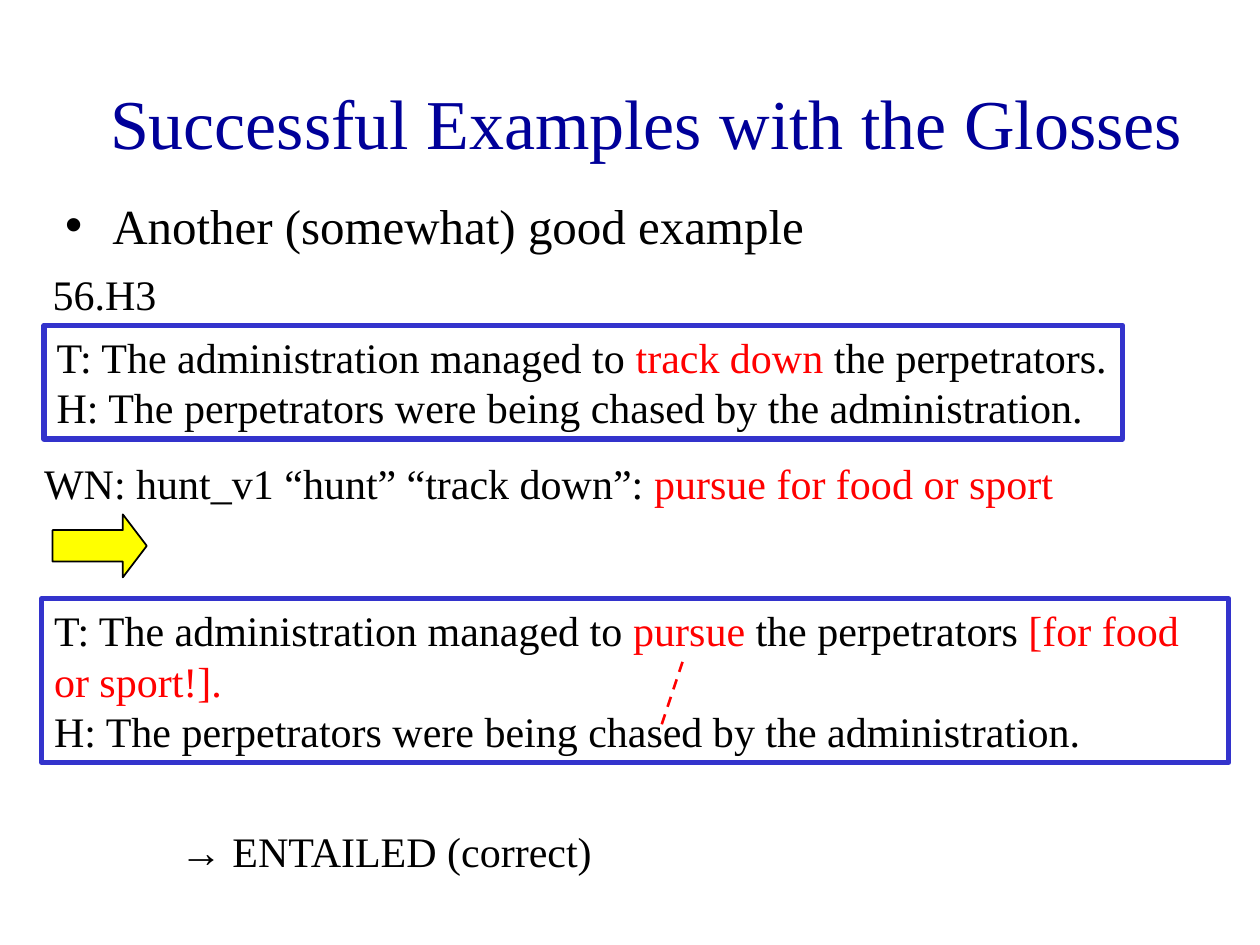
from lxml import etree
from pptx import Presentation
from pptx.dml.color import RGBColor
from pptx.enum.dml import MSO_LINE
from pptx.enum.shapes import MSO_CONNECTOR, MSO_SHAPE
from pptx.enum.text import MSO_ANCHOR, MSO_AUTO_SIZE, PP_ALIGN
from pptx.oxml.ns import qn
from pptx.util import Cm, Pt

RECTANGLE = MSO_SHAPE.RECTANGLE
RIGHT_ARROW = MSO_SHAPE.RIGHT_ARROW
STRAIGHT = MSO_CONNECTOR.STRAIGHT
DASH = MSO_LINE.DASH
TOP, MIDDLE = MSO_ANCHOR.TOP, MSO_ANCHOR.MIDDLE
LEFT, CENTER = PP_ALIGN.LEFT, PP_ALIGN.CENTER
NO_AUTOFIT = MSO_AUTO_SIZE.NONE

BLACK, RED, YELLOW = "000000", "FF0000", "FFFF00"
NAVY, BLUE = "000099", "3333CC"


def color(hex_string):
    return RGBColor.from_string(hex_string)


class SlideBuilder:
    font_name = "Times New Roman"
    text_size = 24
    line_factor = 1.2

    def __init__(self, slide):
        self.slide = slide

    def place(self, shape, left, top, width, height):
        shape.left, shape.top = Cm(left), Cm(top)
        shape.width, shape.height = Cm(width), Cm(height)

    def set_font(self, paragraph, size, hex_string=None):
        paragraph.font.name = self.font_name
        paragraph.font.size = Pt(size)
        if hex_string:
            paragraph.font.color.rgb = color(hex_string)

    def fill_text(self, frame, lines, wrap):
        """Fill the frame with lines, each a list of (text, colour) runs."""
        frame.word_wrap = wrap
        frame.vertical_anchor = TOP
        for index, line in enumerate(lines):
            paragraph = frame.add_paragraph() if index else frame.paragraphs[0]
            paragraph.alignment = LEFT
            paragraph.line_spacing = Pt(self.text_size * self.line_factor)
            self.set_font(paragraph, self.text_size)
            for text, hex_string in line:
                run = paragraph.add_run()
                run.text = text
                run.font.color.rgb = color(hex_string)

    def placeholder(self, shape, text, box, size, hex_string, anchor, alignment):
        self.place(shape, *box)
        frame = shape.text_frame
        frame.text = text
        frame.auto_size = NO_AUTOFIT
        frame.vertical_anchor = anchor
        paragraph = frame.paragraphs[0]
        paragraph.alignment = alignment
        paragraph.space_before = Pt(0)
        self.set_font(paragraph, size, hex_string)
        return paragraph

    def title(self, text, box):
        self.placeholder(self.slide.shapes.title, text, box, 40, NAVY, MIDDLE, CENTER)

    def bullet(self, text, box):
        body = self.slide.placeholders[1]
        paragraph = self.placeholder(body, text, box, 28, BLACK, TOP, LEFT)
        paragraph.line_spacing = Pt(28 * self.line_factor)
        properties = paragraph._p.get_or_add_pPr()
        properties.set("marL", str(Cm(0.95)))
        properties.set("indent", str(-Cm(0.95)))

    def label(self, box, *runs):
        text_box = self.slide.shapes.add_textbox(0, 0, 0, 0)
        self.place(text_box, *box)
        self.fill_text(text_box.text_frame, [runs], wrap=False)

    def shape(self, kind, box, line_color, line_width):
        shape = self.slide.shapes.add_shape(kind, 0, 0, 0, 0)
        self.place(shape, *box)
        shape.shadow.inherit = False
        shape.fill.background()
        shape.line.color.rgb = color(line_color)
        shape.line.width = Pt(line_width)
        return shape

    def framed_text(self, box, lines, wrap):
        frame = self.shape(RECTANGLE, box, BLUE, 3)
        self.fill_text(frame.text_frame, lines, wrap)

    def arrow(self, box):
        arrow = self.shape(RIGHT_ARROW, box, BLACK, 1)
        arrow.fill.solid()
        arrow.fill.fore_color.rgb = color(YELLOW)
        arrow.adjustments[0] = 0.5
        arrow.adjustments[1] = 0.38

    def dashed_line(self, *ends):
        line = self.slide.shapes.add_connector(STRAIGHT, *map(Cm, ends))
        line.line.color.rgb = color(RED)
        line.line.width = Pt(1.5)
        line.line.dash_style = DASH
        etree.SubElement(line._element.spPr, qn("a:effectLst"))


def main():
    presentation = Presentation()
    presentation.slide_width, presentation.slide_height = Cm(25.4), Cm(19.05)
    slide = presentation.slides.add_slide(presentation.slide_layouts[1])
    builder = SlideBuilder(slide)

    text_start = ("T: The administration managed to ", BLACK)
    hypothesis = [("H: The perpetrators were being chased by the administration.", BLACK)]

    builder.title("Successful Examples with the Glosses", (1.7, 0.85, 22.65, 3.18))
    builder.bullet("Another (somewhat) good example", (1.06, 3.81, 21.59, 11.43))

    builder.label((0.81, 5.28, 2.6, 1.27), ("56.H3", BLACK))
    original_text = [text_start, ("track down", RED), (" the perpetrators.", BLACK)]
    builder.framed_text((0.89, 6.56, 21.74, 2.29), [original_text, hypothesis], wrap=False)

    builder.label(
        (0.64, 9.1, 20.85, 1.27),
        ("WN: hunt_v1 “hunt” “track down”: ", BLACK),
        ("pursue for food or sport", RED),
    )
    builder.arrow((1.06, 10.37, 1.9, 1.27))

    expanded_text = [
        text_start,
        ("pursue", RED),
        (" the perpetrators", BLACK),
        (" [for food or sport!].", RED),
    ]
    builder.framed_text((0.84, 12.07, 23.93, 3.3), [expanded_text, hypothesis], wrap=True)
    builder.dashed_line(13.34, 14.6, 13.76, 13.34)

    builder.label((3.38, 16.51, 8.86, 1.27), ("→ ENTAILED (correct)", BLACK))

    presentation.save("out.pptx")


if __name__ == "__main__":
    main()
